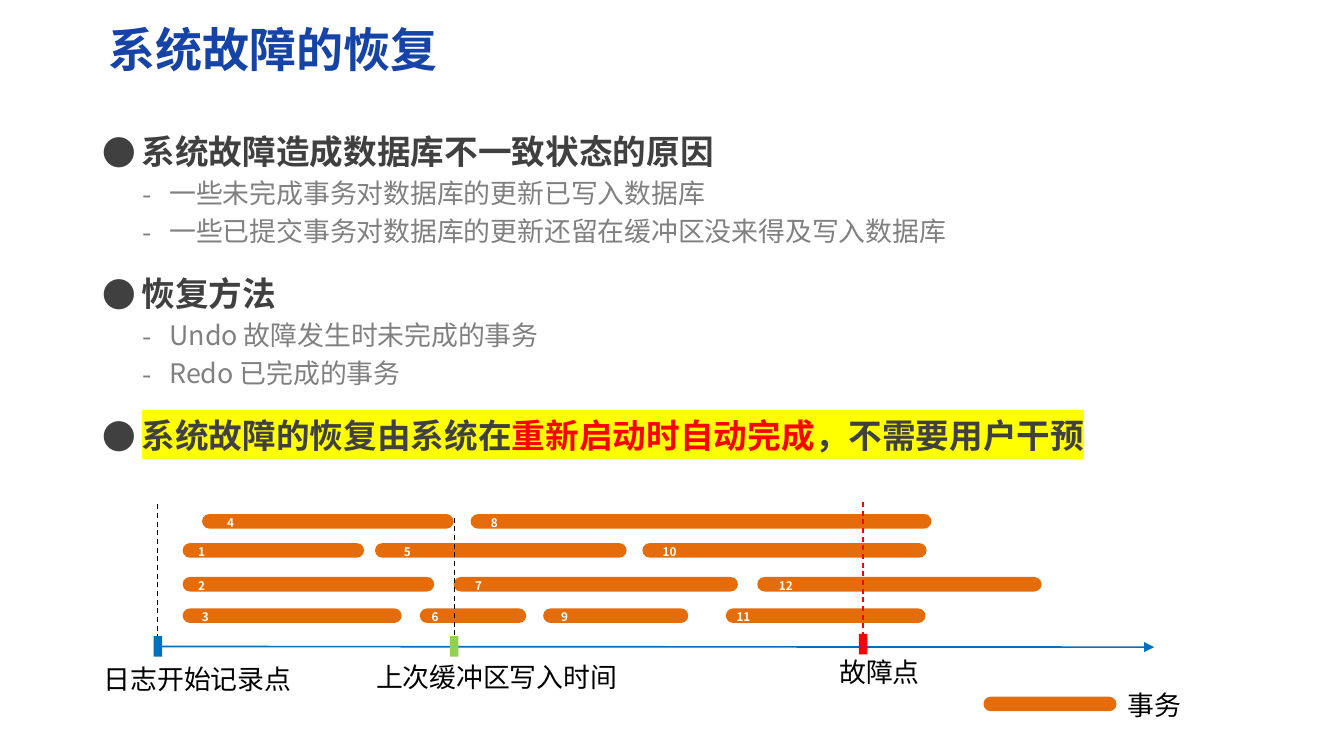
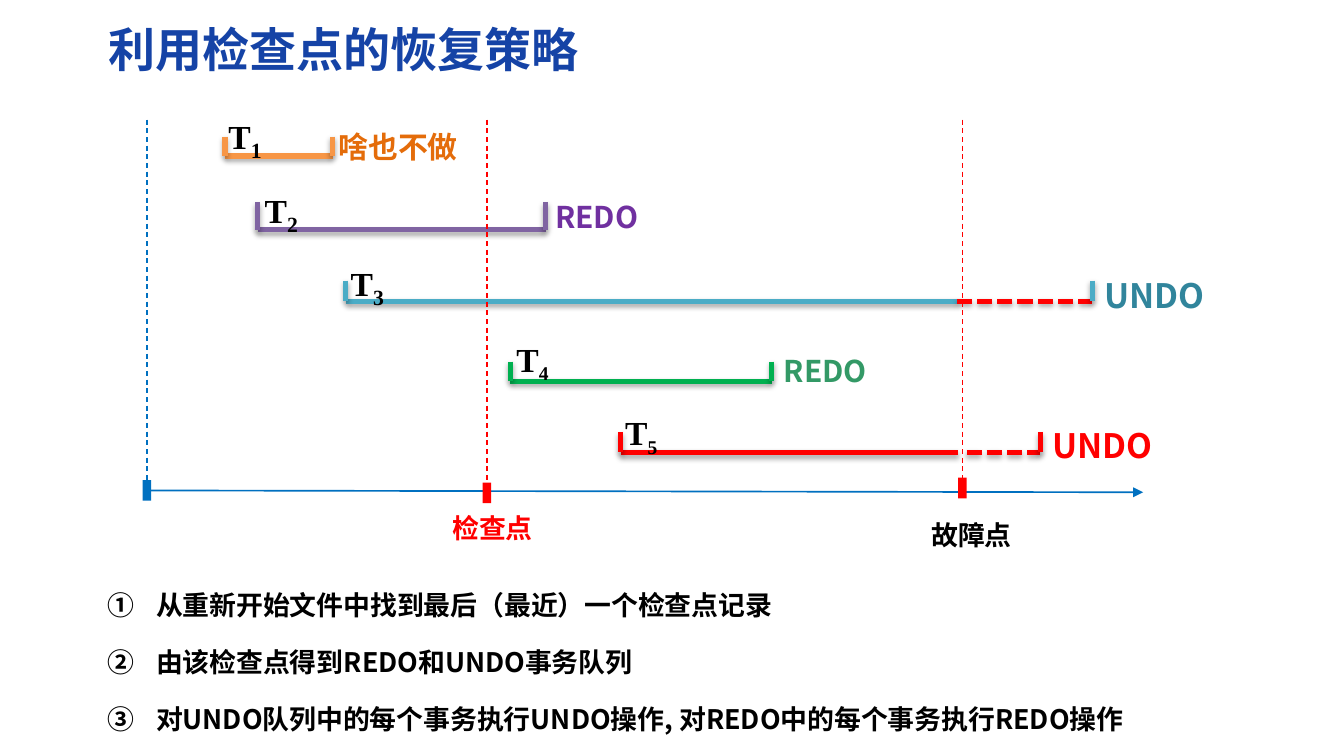
from lxml import etree
from pptx import Presentation
from pptx.dml.color import RGBColor
from pptx.enum.dml import MSO_LINE
from pptx.enum.shapes import MSO_CONNECTOR, MSO_SHAPE
from pptx.enum.text import MSO_ANCHOR, MSO_AUTO_SIZE, PP_ALIGN
from pptx.oxml.ns import qn
from pptx.util import Inches, Pt

RECT, PILL = MSO_SHAPE.RECTANGLE, MSO_SHAPE.ROUNDED_RECTANGLE
STRAIGHT = MSO_CONNECTOR.STRAIGHT
DASH, DOTS = MSO_LINE.DASH, MSO_LINE.SQUARE_DOT
MIDDLE, LEFT, JUSTIFY = MSO_ANCHOR.MIDDLE, PP_ALIGN.LEFT, PP_ALIGN.JUSTIFY
NO_FIT = MSO_AUTO_SIZE.NONE
TOP, RIGHT = 0, 3  # connection sites

# Shared look
SANS, SERIF = "Noto Sans CJK SC", "Times New Roman"
NAVY, DARK, GREY, BLACK, WHITE = "1543A6", "404040", "808080", "000000", "FFFFFF"
BLUE, RED, LIME, ORANGE = "0070C0", "FF0000", "92D050", "E46C0A"
YELLOW = "FFFF00"
LEAD = 1.25  # line height of a label, in ems
HEAD = dict(size=Pt(20), bold=True)
SUB = dict(size=Pt(16), bold=False)
STEP = dict(size=Pt(16), bold=True)

# Slide 1: body as (level, runs), run as (text, colour)
CAUSES = [
    (0, [("系统故障造成数据库不一致状态的原因", DARK)]),
    (1, [("一些未完成事务对数据库的更新已写入数据库", GREY)]),
    (1, [("一些已提交事务对数据库的更新还留在缓冲区没来得及写入数据库", GREY)]),
    (0, [("恢复方法", DARK)]),
    (1, [("Undo 故障发生时未完成的事务", GREY)]),
    (1, [("Redo 已完成的事务", GREY)]),
    (0, [("系统故障的恢复由系统在", DARK), ("重新启动时自动完成", RED),
         ("，不需要用户干预", DARK)]),
]
# Row top: bars as (number, left, width, left of number)
BARS = {
    4.25: [(4, 1.67, 2.08, 1.78), (8, 3.89, 3.81, 3.96)],
    4.49: [(1, 1.51, 1.5, 1.54), (5, 3.1, 2.08, 3.24), (10, 5.31, 2.35, 5.38)],
    4.77: [(2, 1.51, 2.08, 1.54), (7, 3.75, 2.35, 3.83), (12, 6.26, 2.35, 6.34)],
    5.03: [(3, 1.51, 1.81, 1.57), (6, 3.47, 0.88, 3.47), (9, 4.49, 1.2, 4.54),
           (11, 6, 1.65, 5.99)],
}
# Slide 2: left, right, base, tick height, colour, (solid end, dots start)
SPANS = [
    (1.86, 2.75, 1.29, 0.16, "F79646", None),
    (2.13, 4.51, 1.9, 0.23, "8064A2", None),
    (2.86, 9.03, 2.49, 0.17, "4BACC6", (7.91, 7.91)),
    (4.22, 6.38, 3.15, 0.16, "00B050", None),
    (5.13, 8.6, 3.74, 0.17, RED, (7.92, 7.99)),
]
# Name left, top, size of its index; verdict, left, top, size, colour
NAMES = [
    (1.79, 0.88, 22.2, "啥也不做", 2.7, 1, 17.8, ORANGE),
    (2.09, 1.49, 22.2, "REDO", 4.49, 1.58, 17.8, "7030A0"),
    (2.8, 2.09, 22.2, "UNDO", 9.03, 2.21, 20, "31859C"),
    (4.17, 2.75, 20, "REDO", 6.38, 2.85, 17.8, "339966"),
    (5.07, 3.36, 20, "UNDO", 8.6, 3.45, 20, RED),
]
STEPS = [
    "从重新开始文件中找到最后（最近）一个检查点记录",
    "由该检查点得到REDO和UNDO事务队列",
    "对UNDO队列中的每个事务执行UNDO操作, 对REDO中的每个事务执行REDO操作",
]


def rgb(code):
    return RGBColor.from_string(code)


def fill(obj, code):
    obj.fill.solid()
    obj.fill.fore_color.rgb = rgb(code)


def put(obj, vals):
    for key, val in vals.items():
        setattr(obj, key, val)


def place(obj, *box):
    put(obj, dict(zip(("left", "top", "width", "height"), map(Inches, box))))


def node(root, tag, **vals):
    return etree.SubElement(root, qn(tag), vals)


def add_run(para, text, code, form, face=SANS):
    run = para.add_run()
    run.text = text
    put(run.font, dict(form, name=face))
    run.font.color.rgb = rgb(code)
    node(run.font._element, "a:ea", typeface=face)
    return run


def mark_run(run, code):
    # Highlight stands just before the typeface
    props = run.font._element
    tint = node(props, "a:highlight")
    node(tint, "a:srgbClr", val=code)
    props.find(qn("a:latin")).addprevious(tint)


def bullet(para, left, hang, tag, **vals):
    props = para._p.get_or_add_pPr()
    props.set("marL", str(Inches(left)))
    props.set("indent", str(-Inches(hang)))
    node(props, "a:buFont", typeface=SANS)
    node(props, tag, **vals)


def new_slide(deck, title):
    slide = deck.slides.add_slide(deck.slide_layouts[1])
    head = slide.shapes.title
    place(head, 0.79, 0.12, 9.81, 0.57)
    frame = head.text_frame
    put(frame, dict(auto_size=NO_FIT, vertical_anchor=MIDDLE,
                    margin_left=Inches(0.11), margin_right=Inches(0.11),
                    margin_top=Inches(0.06), margin_bottom=Inches(0.06)))
    para = frame.paragraphs[0]
    para.alignment = LEFT
    add_run(para, title, NAVY, dict(size=Pt(28), bold=True))
    return slide


def list_paras(slide, box, count):
    # Paragraphs of the body placeholder, made as they are needed
    body = slide.placeholders[1]
    place(body, *box)
    frame = body.text_frame
    frame.auto_size = NO_FIT
    for i in range(count):
        yield frame.add_paragraph() if i else frame.paragraphs[0]


def text_box(slide, left, top, wide, high):
    box = slide.shapes.add_textbox(*map(Inches, (left, top, wide, high)))
    box.text_frame.word_wrap = True
    return box.text_frame.paragraphs[0]


def label(slide, text, left, top, wide, size=16, code=BLACK, bold=False, align=LEFT):
    para = text_box(slide, left, top, wide, size * LEAD / 72 + 0.1)
    put(para, dict(alignment=align, line_spacing=Pt(size * LEAD)))
    add_run(para, text, code, dict(size=Pt(size), bold=bold))


def block(slide, kind, left, top, wide, high, code):
    shape = slide.shapes.add_shape(kind, *map(Inches, (left, top, wide, high)))
    shape.shadow.inherit = False
    fill(shape, code)
    shape.line.fill.background()
    return shape


def pill(slide, left, top, wide):
    block(slide, PILL, left, top, wide, 0.12, ORANGE).adjustments[0] = 0.5


def rule(slide, x1, y1, x2, y2, code, width, dash=None, shade=False):
    line = slide.shapes.add_connector(STRAIGHT, *map(Inches, (x1, y1, x2, y2)))
    put(line.line, dict(width=Pt(width), dash_style=dash))
    fill(line.line, code)
    fx = node(line._element.spPr, "a:effectLst")
    if shade:
        cast = node(fx, "a:outerShdw", blurRad=str(Pt(3.1)), dist=str(Pt(1.8)),
                    dir="5400000", rotWithShape="0")
        node(node(cast, "a:srgbClr", val=BLACK), "a:alpha", val="35000")
    return line


def point(slide, left, top, code, start, tint):
    # Time mark with a dashed line down to it
    mark = block(slide, RECT, left, top, 0.07, 0.17, code)
    x = left + 0.035
    rule(slide, x, start, x, top, tint, 0.75, DASH).end_connect(mark, TOP)
    return mark


def axis(slide, mark, end, y):
    line = rule(slide, 1.25, y, end, y, BLUE, 1)
    line.begin_connect(mark, RIGHT)
    node(line.line._get_or_add_ln(), "a:tailEnd", type="triangle")


def span(slide, left, right, base, rise, code, gap):
    # Life of a transaction: base line and two end ticks
    stop, start = gap or (right, right)
    rule(slide, left, base, stop, base, code, 3, shade=True)
    if gap:
        rule(slide, start, base, right, base, RED, 3, DOTS, True)
    for x in (left, right):
        rule(slide, x, base - rise, x, base, code, 3, shade=True)


def crash_slide(deck):
    slide = new_slide(deck, "系统故障的恢复")
    # Causes and methods
    paras = list_paras(slide, (0.75, 0.87, 9.84, 2.98), len(CAUSES))
    for i, (para, (level, runs)) in enumerate(zip(paras, CAUSES)):
        form, pitch, space = (SUB, 19.4, 3.2) if level else (HEAD, 35.5, 4)
        put(para, dict(level=level, line_spacing=Pt(pitch),
                       space_before=Pt(space if i else 0)))
        left, hang, char = (0.55, 0.22, "-") if level else (0.32, 0.32, "●")
        bullet(para, left, hang, "a:buChar", char=char)
        for text, code in runs:
            run = add_run(para, text, code, form)
            if len(runs) > 1:
                mark_run(run, YELLOW)
    # Transactions
    for top, bars in BARS.items():
        for num, left, wide, spot in bars:
            pill(slide, left, top, wide)
    # Time line
    axis(slide, point(slide, 1.27, 5.26, BLUE, 4.17, BLACK), 9.54, 5.35)
    point(slide, 3.72, 5.26, LIME, 4.28, BLACK)
    point(slide, 7.1, 5.24, RED, 4.15, RED)
    label(slide, "日志开始记录点", 0.76, 5.42, 1.83)
    label(slide, "上次缓冲区写入时间", 3.01, 5.4, 2.32)
    label(slide, "故障点", 6.84, 5.36, 1.48)
    # Key
    pill(slide, 8.13, 5.76, 1.1)
    label(slide, "事务", 9.22, 5.63, 1.48)
    # Numbers on the bars
    for top, bars in BARS.items():
        for num, left, wide, spot in bars:
            label(slide, str(num), spot, top - 0.04, 1.48, 7, WHITE, True)


def check_slide(deck):
    slide = new_slide(deck, "利用检查点的恢复策略")
    # Transactions with their verdicts
    for row in SPANS:
        span(slide, *row)
    for i, (left, top, low, word, x, y, size, code) in enumerate(NAMES, 1):
        para = text_box(slide, left, top, 0.9, 0.4)
        add_run(para, "T", BLACK, HEAD, SERIF)
        sub = add_run(para, str(i), BLACK, dict(size=Pt(low), bold=True), SERIF)
        sub.font._element.set("baseline", "-25000")
        label(slide, word, x, y, 1.4, size, code, True, JUSTIFY)
    # Time line
    axis(slide, point(slide, 1.18, 3.97, BLUE, 0.99, BLUE), 9.45, 4.07)
    point(slide, 3.99, 3.99, RED, 0.99, RED)
    point(slide, 7.92, 3.95, RED, 0.99, RED)
    label(slide, "检查点", 3.64, 4.17, 0.9, code=RED, bold=True)
    label(slide, "故障点", 7.6, 4.23, 1.48, bold=True)
    # Steps
    paras = list_paras(slide, (0.79, 4.68, 9.4, 1.41), len(STEPS))
    for para, text in zip(paras, STEPS):
        put(para, dict(line_spacing=Pt(28.8), space_before=Pt(0), space_after=Pt(5.2)))
        bullet(para, 0.4, 0.4, "a:buAutoNum", type="circleNumDbPlain")
        add_run(para, text, BLACK, STEP)


def main():
    deck = Presentation()
    put(deck, dict(slide_width=Inches(11.11), slide_height=Inches(6.25)))
    crash_slide(deck)
    check_slide(deck)
    deck.save("out.pptx")


if __name__ == "__main__":
    main()
